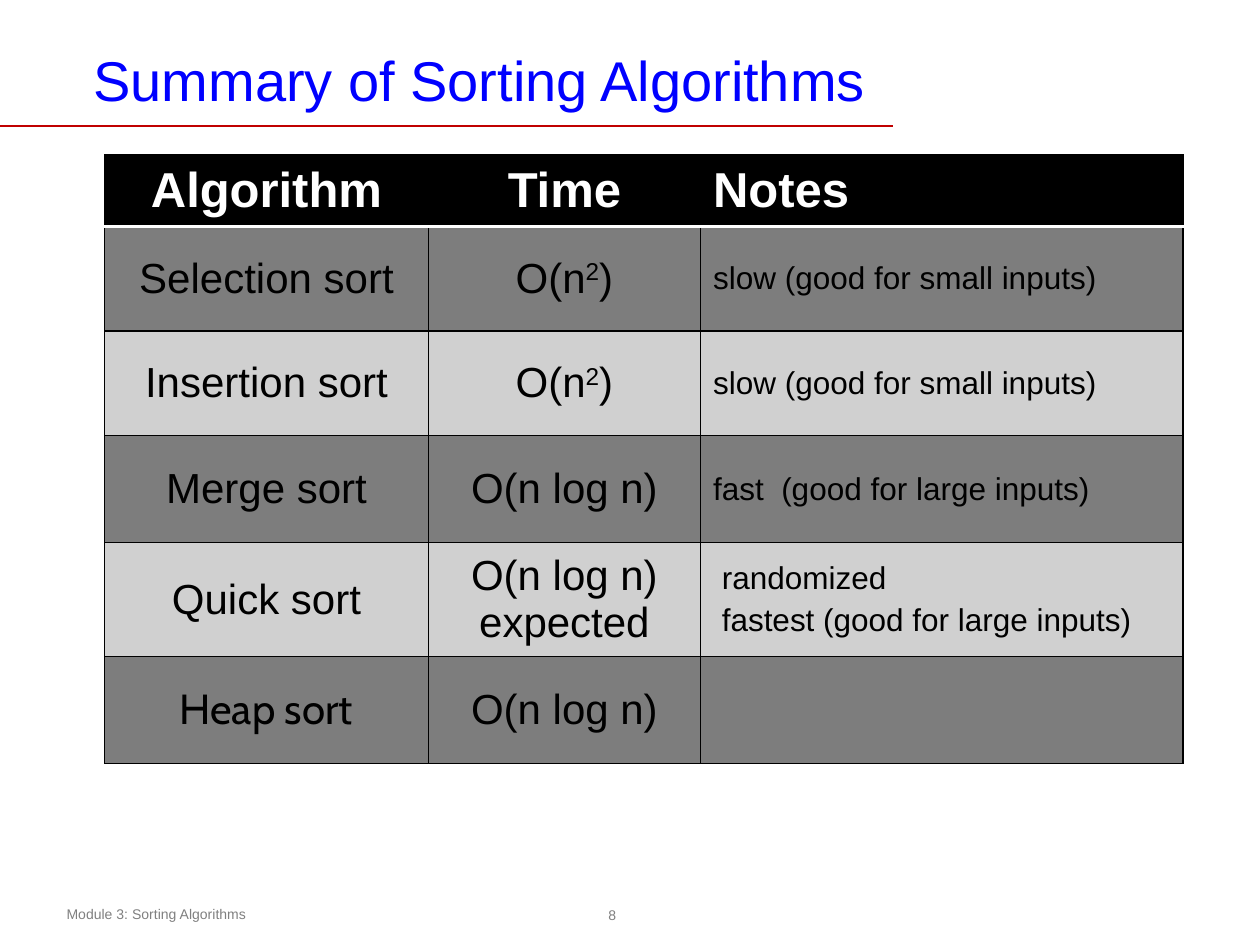
from lxml import etree
from pptx import Presentation
from pptx.dml.color import RGBColor
from pptx.enum import shapes, text
from pptx.oxml import ns
from pptx.util import Inches, Pt

HUES = {"title": "0000FF", "rule": "C00000", "foot": "808080", "ink": "000000",
        "head": "FFFFFF", "dark": "7D7D7D", "light": "D0D0D0"}


def add_run(para, words, size, hue, font="Arial", bold=False):
    run = para.add_run()
    run.text = words
    run.font.size, run.font.name, run.font.bold = Pt(size), font, bold
    run.font.color.rgb = RGBColor.from_string(HUES[hue])
    return run


def add_edge(cell, side, hue, width):
    """Draw one cell border; side is L, R, T or B."""
    line = etree.Element(ns.qn(f"a:ln{side}"), w=str(Pt(width)))
    fill = etree.SubElement(line, ns.qn("a:solidFill"))
    etree.SubElement(fill, ns.qn("a:srgbClr"), val=HUES[hue])
    props = cell._tc.get_or_add_tcPr()
    props.insert(len(props.findall("{*}ln" + side)) + "LRTB".index(side), line)


prs = Presentation()
prs.slide_width, prs.slide_height = Inches(10), Inches(7.5)
slide = prs.slides.add_slide(prs.slide_layouts[5])

# Page number and footer
page = slide.shapes.add_shape(shapes.MSO_SHAPE.OVAL, Inches(4.74), Inches(7.13),
                              Inches(0.24), Inches(0.26))
page.shadow.inherit = False
page.fill.background()
page.line.fill.background()
frame = page.text_frame
frame.word_wrap = False
frame.margin_left = frame.margin_right = Inches(0.04)
frame.margin_top = frame.margin_bottom = Inches(0.04)
frame.vertical_anchor = text.MSO_ANCHOR.MIDDLE
frame.paragraphs[0].alignment = text.PP_ALIGN.CENTER
add_run(frame.paragraphs[0], "8", 8, "foot")

foot = slide.shapes.add_textbox(Inches(0.43), Inches(7.14), Inches(3.64), Inches(0.24))
foot.text_frame.word_wrap = True
add_run(foot.text_frame.paragraphs[0], "Module 3: Sorting Algorithms", 8, "foot")

# Title and its rule
rule = slide.shapes.add_connector(shapes.MSO_CONNECTOR.STRAIGHT, Inches(0), Inches(1),
                                  Inches(7.09), Inches(1))
rule.line.color.rgb = RGBColor.from_string(HUES["rule"])
rule.line.width = Pt(1)
etree.SubElement(rule._element.spPr, ns.qn("a:effectLst"))

title = slide.shapes.title
title.left, title.top = Inches(0.67), Inches(0.33)
title.width, title.height = Inches(8.83), Inches(1.25)
frame = title.text_frame
frame.auto_size = text.MSO_AUTO_SIZE.NONE
frame.vertical_anchor = text.MSO_ANCHOR.TOP
frame.margin_left = frame.margin_right = Inches(0.07)
frame.margin_top = frame.margin_bottom = Inches(0.03)
frame.paragraphs[0].alignment = text.PP_ALIGN.LEFT
add_run(frame.paragraphs[0], "Summary of Sorting Algorithms", 32, "title")

# Table: a newline starts a paragraph, \v breaks a line, ^ raises the next character
rows = [
    ("Algorithm", "Time", "Notes"),
    ("Selection sort", "O(n^2)", "slow (good for small inputs)"),
    ("Insertion sort", "O(n^2)", "slow (good for small inputs)"),
    ("Merge sort", "O(n log n)", "fast  (good for large inputs)"),
    ("Quick sort", "O(n log n)\vexpected", " randomized\n fastest (good for large inputs)"),
    ("Heap sort", "O(n log n)", ""),
]
widths = [2.57, 2.16, 3.83]
heights = [0.54, 0.83, 0.83, 0.85, 0.85, 0.85]
table = slide.shapes.add_table(len(rows), len(widths), Inches(0.83), Inches(1.23),
                               Inches(sum(widths)), Inches(sum(heights))).table
for col, width in zip(table.columns, widths):
    col.width = Inches(width)
for row, height in zip(table.rows, heights):
    row.height = Inches(height)

for r, row in enumerate(rows):
    head = r == 0
    back = "ink" if head else "dark" if r % 2 else "light"
    for c, words in enumerate(row):
        cell = table.cell(r, c)
        cell.vertical_anchor = text.MSO_ANCHOR.MIDDLE
        cell.fill.solid()
        cell.fill.fore_color.rgb = RGBColor.from_string(HUES[back])
        for side in "LRTB":
            white = (r, side) in [(0, "B"), (1, "T")]
            add_edge(cell, side, "head" if white else "ink", 2 if white else 0.75)

        size = 28 if head else 18 if c == 2 else 24
        font = "Cabin" if words == "Heap sort" else "Arial"
        style = (size, "head" if head else "ink", font, head)
        for i, part in enumerate(words.split("\n")):
            para = cell.text_frame.add_paragraph() if i else cell.text_frame.paragraphs[0]
            para.alignment = text.PP_ALIGN.LEFT if c == 2 else text.PP_ALIGN.CENTER
            para.space_before = Pt(0.2 * size)
            for j, line in enumerate(part.split("\v")):
                if j:
                    para.add_line_break()
                base, _, rest = line.partition("^")
                if base:
                    add_run(para, base, *style)
                if rest:
                    power = add_run(para, rest[0], *style)
                    power._r.get_or_add_rPr().set("baseline", "30000")
                    add_run(para, rest[1:], *style)

prs.save("out.pptx")
